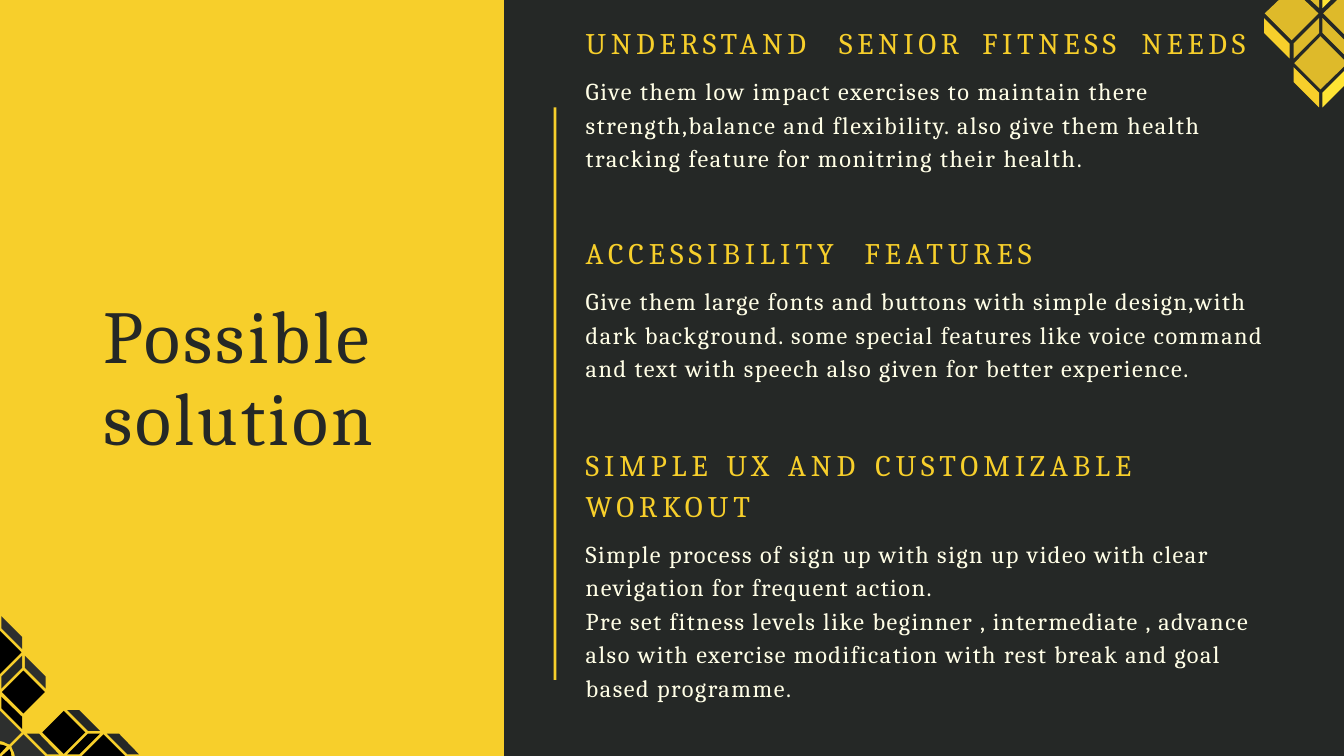
import pptx
import pptx.dml.color
import pptx.enum.shapes
import pptx.oxml
import pptx.oxml.ns
import pptx.util

Cm = pptx.util.Cm
Pt = pptx.util.Pt

THEME = {
    "font": "Cambria",
    "yellow": "F7CF2B", "gold": "DEBA2A", "bright": "FFE434",
    "dark": "252826", "charcoal": "2D2F2E", "black": "000000", "cream": "FFFEE6",
    "title_size": 80, "heading_size": 32, "body_size": 26,
}


def paint(shape, color):
    shape.shadow.inherit = False
    shape.fill.solid()
    shape.fill.fore_color.rgb = pptx.dml.color.RGBColor.from_string(THEME[color])
    shape.line.fill.background()


def write(text, *, frame, size, color, tracking, before=None, spacing=None, tabs=()):
    paragraph = frame.paragraphs[0]
    if paragraph.runs:
        paragraph = frame.add_paragraph()
    if before:
        paragraph.space_before = Pt(before)
    if spacing:
        paragraph.line_spacing = spacing
    if tabs:
        tab_list = pptx.oxml.parse_xml(f"<a:tabLst {pptx.oxml.ns.nsdecls('a')}/>")
        for position in tabs:
            tab = tab_list.makeelement(pptx.oxml.ns.qn("a:tab"), {"pos": str(Cm(position)), "algn": "l"})
            tab_list.append(tab)
        paragraph._p.get_or_add_pPr().append(tab_list)
    run = paragraph.add_run()
    run.text = text
    run.font.name = THEME["font"]
    run.font.size = Pt(THEME[size])
    run.font.color.rgb = pptx.dml.color.RGBColor.from_string(THEME[color])
    run._r.get_or_add_rPr().set("spc", str(round(tracking * 100)))


presentation = pptx.Presentation()
presentation.slide_width = Cm(50.8)
presentation.slide_height = Cm(28.58)
slide = presentation.slides.add_slide(presentation.slide_layouts[6])

panels = [
    ("dark", 19.05, 0, 31.75, 28.58),
    ("yellow", 0, 0, 19.05, 28.58),
    ("yellow", 20.93, 4.06, 0.1, 21.64),
]
for color, left, top, width, height in panels:
    panel = slide.shapes.add_shape(
        pptx.enum.shapes.MSO_SHAPE.RECTANGLE, Cm(left), Cm(top), Cm(width), Cm(height))
    paint(panel, color)

sections = [
    {
        "box": (22.14, 0.18, 25.32, 6.4), "inset": 0.76, "spacing": None,
        "heading": "UNDERSTAND\tSENIOR\tFITNESS\tNEEDS", "tracking": 5,
        "tabs": (9.58, 14.99, 21.01), "body_tracking": 1.75,
        "body": ["Give them low impact exercises to maintain there strength,balance and flexibility. "
                 "also give them health tracking feature for monitring their health."],
    },
    {
        "box": (22.14, 8.13, 26.87, 6.4), "inset": 0.76, "spacing": None,
        "heading": "ACCESSIBILITY\tFEATURES", "tracking": 5.4,
        "tabs": (10.54,), "body_tracking": 1.65,
        "body": ["Give them large fonts and buttons with simple design,with dark background. "
                 "some special features like voice command and text with speech also given "
                 "for better experience."],
    },
    {
        "box": (22.14, 16.64, 26.49, 9.98), "inset": 0.03, "spacing": 1.15,
        "heading": "SIMPLE\tUX\tAND\tCUSTOMIZABLE WORKOUT", "tracking": 5.3,
        "tabs": (5.33, 7.65, 10.95), "body_tracking": 1.65,
        "body": ["Simple process of sign up with sign up video with clear nevigation for frequent action.",
                 "Pre set fitness levels like beginner , intermediate , advance also with exercise "
                 "modification with rest break and goal based programme."],
    },
]
title = {"box": (3.91, 10.85, 11.02, 6.55), "inset": 0.36}
for block in [*sections, title]:
    frame = slide.shapes.add_textbox(*map(Cm, block["box"])).text_frame
    frame.word_wrap = True
    frame.margin_left = frame.margin_right = frame.margin_bottom = 0
    frame.margin_top = Cm(block["inset"])
    if block is title:
        write("Possible solution", frame=frame, size="title_size", color="dark",
              tracking=3.25, spacing=Pt(87.8))
        continue
    write(block["heading"], frame=frame, size="heading_size", color="yellow",
          tracking=block["tracking"], spacing=block["spacing"], tabs=block["tabs"])
    for index, text in enumerate(block["body"]):
        write(text, frame=frame, size="body_size", color="cream", tracking=block["body_tracking"],
              before=12.2 if index == 0 else None, spacing=1.15)

cube_faces = [
    ("gold", [
        [(1922, 60), (1882, 20), (1903, 0), (1941, 0), (1962, 20)],
        [(1963, 12), (1950, 0), (1963, 0)],
        [(2000, 51), (1969, 20), (1990, 0), (2000, 0)],
        [(1925, 87), (1925, 65), (1963, 27), (1963, 49)],
        [(2000, 81), (1968, 49), (1968, 27), (2000, 59)],
        [(1965, 133), (1926, 94), (1965, 54), (2000, 89), (2000, 99)],
    ]),
    ("bright", [
        [(1968, 160), (1968, 138), (2000, 106), (2000, 128)],
        [(1968, 12), (1968, 0), (1980, 0)],
    ]),
    ("yellow", [
        [(1963, 160), (1925, 122), (1925, 100), (1963, 138)],
        [(1919, 87), (1881, 49), (1881, 27), (1919, 65)],
    ]),
    ("black", [
        [(0, 1003), (0, 939), (32, 971)],
        [(35, 1062), (3, 1030), (35, 998), (67, 1030)],
        [(33, 1085), (2, 1054), (2, 1037), (33, 1067)],
        [(95, 1122), (63, 1090), (95, 1058), (127, 1090)],
        [(118, 1123), (100, 1123), (131, 1092), (149, 1092)],
        [(186, 1125), (122, 1125), (154, 1093)],
        [(0, 1122), (0, 1108), (5, 1109), (10, 1111)],
        [(17, 1125), (3, 1125), (14, 1115), (16, 1119)],
    ]),
    ("dark", [
        [(207, 1123), (190, 1123), (159, 1092), (177, 1092)],
        [(149, 1088), (131, 1088), (100, 1057), (118, 1057)],
        [(88, 1123), (71, 1123), (40, 1092), (58, 1092)],
        [(2, 1025), (2, 1007), (33, 976), (33, 994)],
    ]),
    ("charcoal", [
        [(33, 966), (2, 935), (2, 917), (33, 948)],
        [(68, 1025), (37, 994), (37, 976), (68, 1007)],
        [(14, 1108), (9, 1106), (5, 1104), (0, 1103), (0, 1058), (32, 1090)],
        [(67, 1125), (22, 1125), (21, 1120), (19, 1116), (17, 1111), (35, 1093)],
    ]),
]
for color, faces in cube_faces:
    builder = slide.shapes.build_freeform(*faces[0][0], scale=Cm(2.54) / 100)
    for index, (start, *corners) in enumerate(faces):
        if index:
            builder.move_to(*start)
        builder.add_line_segments(corners, close=True)
    paint(builder.convert_to_shape(), color)

presentation.save("out.pptx")
